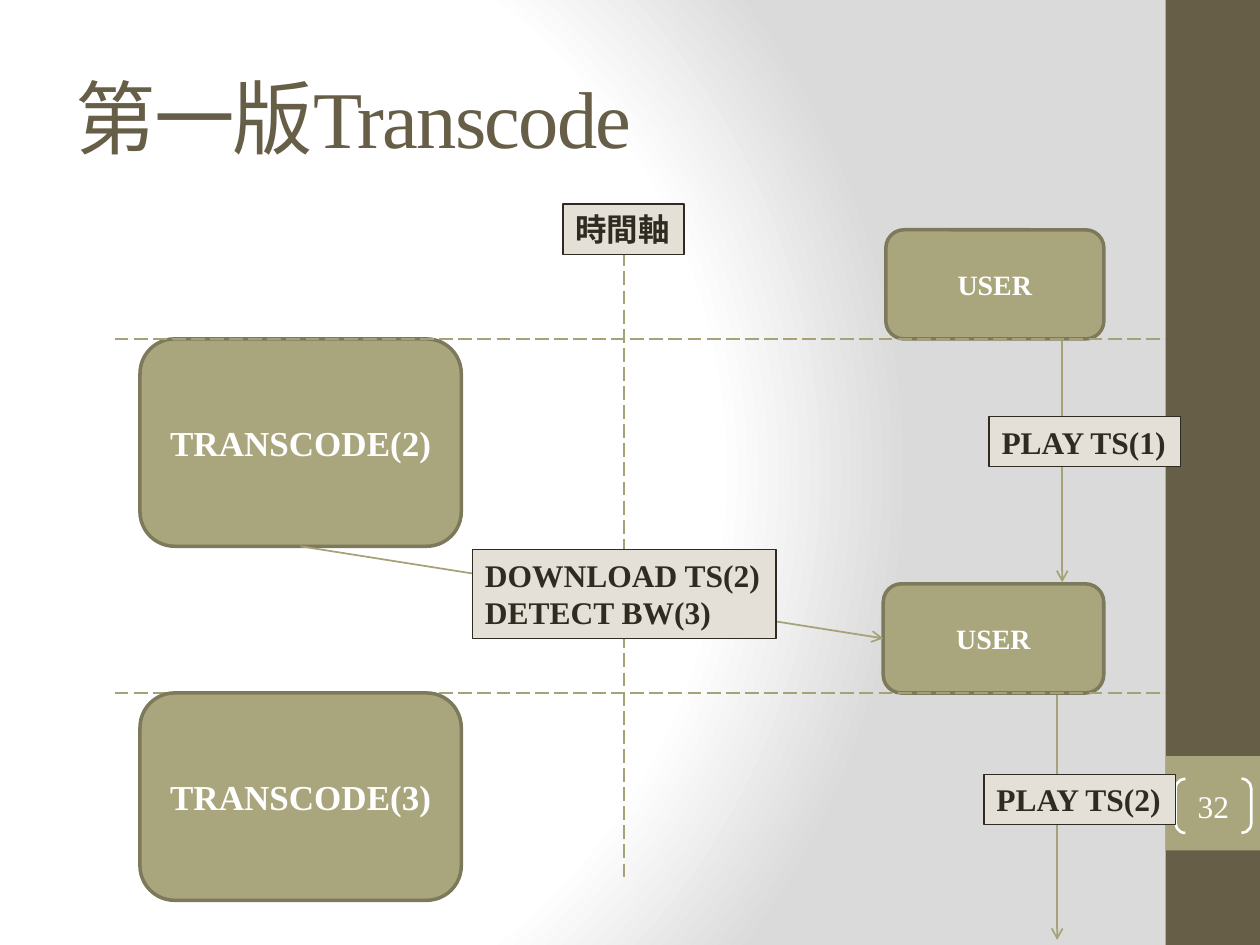
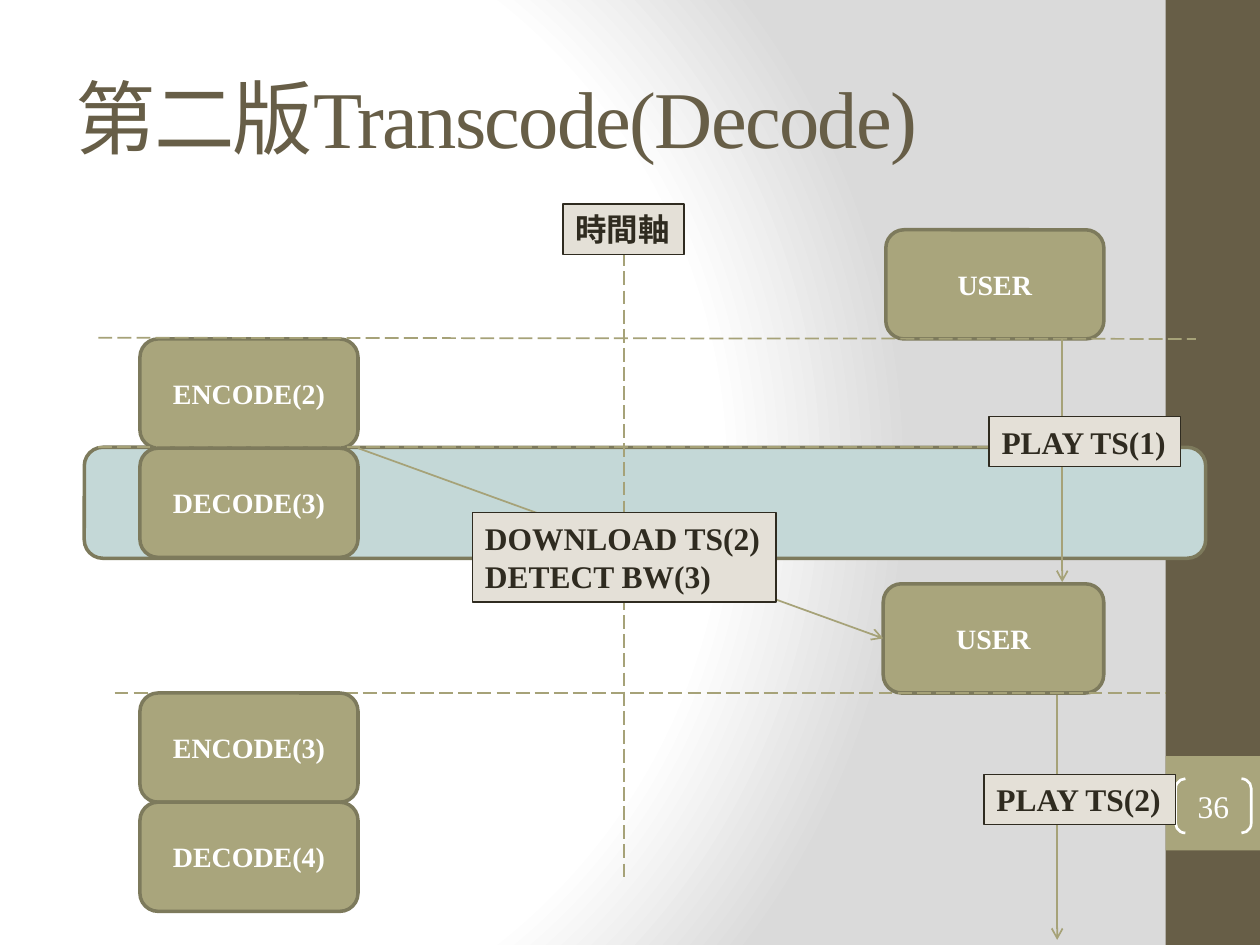
from lxml import etree
from pptx import Presentation
from pptx.dml.color import RGBColor
from pptx.enum.dml import MSO_LINE
from pptx.enum.shapes import MSO_CONNECTOR, MSO_SHAPE
from pptx.enum.text import MSO_ANCHOR, MSO_AUTO_SIZE, PP_ALIGN
from pptx.oxml import parse_xml
from pptx.oxml.ns import nsdecls, qn
from pptx.util import Pt

ROW_1, ROW_2 = 193.7, 396
JOB_X = 80
SMALL_JOB = (124.6, 62.4, 16)
BIG_JOB = (183.6, 118.5, 20)

SLIDES = [
    {
        "title": "第一版Transcode",
        "number": "32",
        "band": None,
        "job_size": BIG_JOB,
        "jobs": [(ROW_1, ["TRANSCODE(2)"]), (ROW_2, ["TRANSCODE(3)"])],
        "time_lines": [(65.5, ROW_1, 666, ROW_1), (65.5, ROW_2, 666, ROW_2)],
        "download_start": None,
        "download_top": 314,
    },
    {
        "title": "第二版Transcode(Decode)",
        "number": "36",
        "band": (48.2, 255.6, 640.8, 63.4),
        "job_size": SMALL_JOB,
        "jobs": [(ROW_1, ["ENCODE(2)", "DECODE(3)"]),
                 (ROW_2, ["ENCODE(3)", "DECODE(4)"])],
        "time_lines": [(56.2, 255.6, 657.4, 255.6), (65.5, ROW_2, 666, ROW_2),
                       (56.2, 193, 683.3, ROW_1)],
        "download_start": (204.6, 256.1),
        "download_top": 293,
    },
]
USERS = [(506.2, 124.6, ROW_1), (504.7, 126, ROW_2)]
PLAYS = [("PLAY TS(2)", 604.1, 397.4), ("PLAY TS(1)", 607, 193)]
DOWNLOAD = ["DOWNLOAD TS(2)", "DETECT BW(3)"]

FONT = "Times New Roman"
COLORS = {
    "brown": "675E47", "olive": "A9A57C", "outline": "7D7A5C", "line": "A6A278",
    "label": "E4E0D7", "ink": "2F2B20", "band": "C4D8D7", "white": "FFFFFF",
    "grey": "DADADA",
}


def rgb(name):
    return RGBColor.from_string(COLORS[name])


def set_background(s):
    stops = "".join(
        f'<a:gs pos="{pos}"><a:srgbClr val="{COLORS[name]}"/></a:gs>'
        for pos, name in [(0, "white"), (75000, "white"), (100000, "grey")])
    s.element.cSld.insert(0, parse_xml(
        f'<p:bg {nsdecls("p", "a")}><p:bgPr><a:gradFill rotWithShape="1">'
        f'<a:gsLst>{stops}</a:gsLst><a:path path="circle">'
        '<a:fillToRect l="20000" t="50000" r="100000" b="50000"/></a:path>'
        '</a:gradFill><a:effectLst/></p:bgPr></p:bg>'))


def add_box(shapes, kind, box, fill=None, line=None, width=0):
    sp = shapes.add_shape(kind, *map(Pt, box))
    sp.shadow.inherit = False
    if fill:
        sp.fill.solid()
        sp.fill.fore_color.rgb = rgb(fill)
    else:
        sp.fill.background()
    if line:
        sp.line.color.rgb = rgb(line)
        sp.line.width = Pt(width)
    else:
        sp.line.fill.background()
    return sp


def write(sp, lines, size, color, bold=True, align=PP_ALIGN.CENTER,
          anchor=MSO_ANCHOR.MIDDLE):
    tf = sp.text_frame
    tf.vertical_anchor = anchor
    tf.text = "\n".join(lines)
    for p in tf.paragraphs:
        p.alignment = align
        p.font.name = FONT
        p.font.size = Pt(size)
        p.font.bold = bold
        p.font.color.rgb = rgb(color)
    return tf


def add_node(s, text, box, size):
    sp = add_box(s.shapes, MSO_SHAPE.ROUNDED_RECTANGLE, box, "olive", "outline", 2)
    write(sp, [text], size, "white")
    return sp


def add_label(shapes, lines, box):
    sp = add_box(shapes, MSO_SHAPE.RECTANGLE, box, "label", "ink", 0.75)
    tf = write(sp, lines, 18, "ink", align=PP_ALIGN.LEFT, anchor=MSO_ANCHOR.TOP)
    tf.word_wrap = False
    tf.auto_size = MSO_AUTO_SIZE.SHAPE_TO_FIT_TEXT


def add_line(shapes, ends, dashed=False, arrow=False):
    c = shapes.add_connector(MSO_CONNECTOR.STRAIGHT, *map(Pt, ends))
    c.line.color.rgb = rgb("line")
    c.line.width = Pt(1)
    if dashed:
        c.line.dash_style = MSO_LINE.LONG_DASH
    spPr = c._element.spPr
    if arrow:
        etree.SubElement(spPr.find(qn("a:ln")), qn("a:tailEnd"), type="arrow")
    etree.SubElement(spPr, qn("a:effectLst"))
    return c


def add_play(s, text, x, top):
    group = s.shapes.add_group_shape().shapes
    add_line(group, (x, top, x, top + 139.7), arrow=True)
    add_label(group, [text], (x - 41.8, top + 45, 109.4, 28.8))


def add_frame(s, title, number, band):
    set_background(s)
    tree = s.shapes._spTree
    t = s.shapes.title
    add_box(s.shapes, MSO_SHAPE.RECTANGLE, (666, 0, 54, 540), "brown")
    add_box(s.shapes, MSO_SHAPE.RECTANGLE, (666, 432, 54, 54), "olive")
    if band:
        add_box(s.shapes, MSO_SHAPE.ROUNDED_RECTANGLE, band, "band", "outline", 2)
    tree.append(t._element)
    t.left, t.top, t.width, t.height = map(Pt, (36, 21.6, 600, 90))
    tf = write(t, [title], 46, "brown", bold=False, align=PP_ALIGN.LEFT)
    tf.paragraphs[0].runs[0].font._element.set("spc", "-100")
    sp = add_box(s.shapes, MSO_SHAPE.DOUBLE_BRACKET, (671.8, 445, 43.2, 31),
                 line="white", width=1.5)
    sp.adjustments[0] = 0.18
    tf = write(sp, [number], 18, "white", bold=False)
    tf.margin_left = tf.margin_right = tf.margin_top = tf.margin_bottom = 0


def add_timeline(s, page):
    users = [add_node(s, "USER", (x, row - 62.4, w, 62.4), 16)
             for x, w, row in USERS]
    add_line(s.shapes, (356.4, 122.4, 356.4, 502.6), dashed=True)
    add_label(s.shapes, ["時間軸"], (321.8, 116.6, 69.1, 28.8))

    w, h, size = page["job_size"]
    jobs = [(name, (JOB_X, row + i * h, w, h))
            for row, names in page["jobs"] for i, name in enumerate(names)]
    first = add_node(s, *jobs[0], size)
    for ends in page["time_lines"]:
        add_line(s.shapes, ends, dashed=True)
    for name, box in jobs[1:]:
        add_node(s, name, box, size)

    x, _, row = USERS[1]
    start = page["download_start"] or (JOB_X + w / 2, ROW_1 + h)
    c = add_line(s.shapes, (*start, x, row - 31.2), arrow=True)
    if not page["download_start"]:
        c.begin_connect(first, 2)
    c.end_connect(users[1], 1)
    add_label(s.shapes, DOWNLOAD, (270, page["download_top"], 173.5, 51))
    for play in PLAYS:
        add_play(s, *play)


def main():
    prs = Presentation()
    prs.slide_width, prs.slide_height = Pt(720), Pt(540)
    for page in SLIDES:
        s = prs.slides.add_slide(prs.slide_layouts[5])
        add_frame(s, page["title"], page["number"], page["band"])
        add_timeline(s, page)
    prs.save("out.pptx")


if __name__ == "__main__":
    main()
